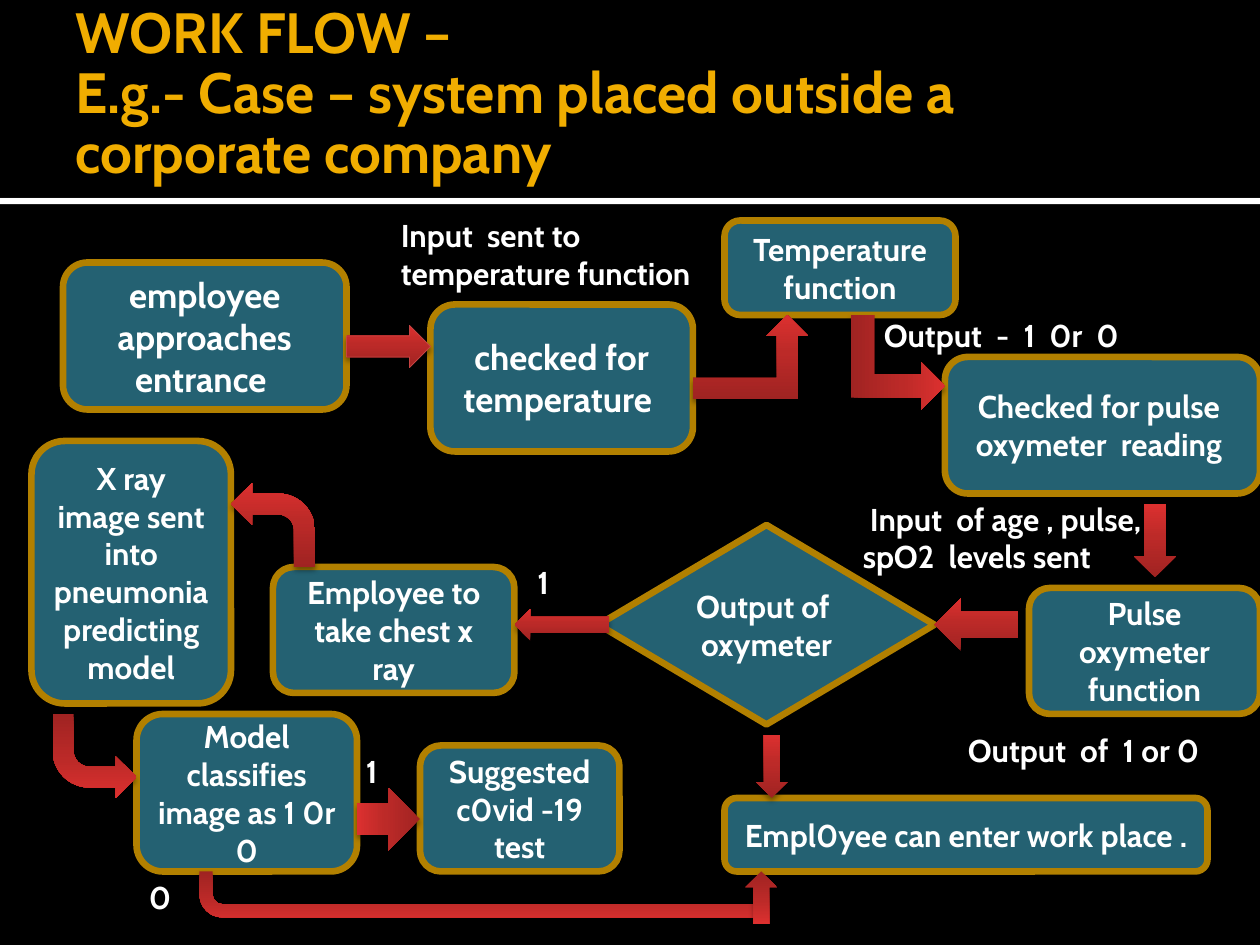
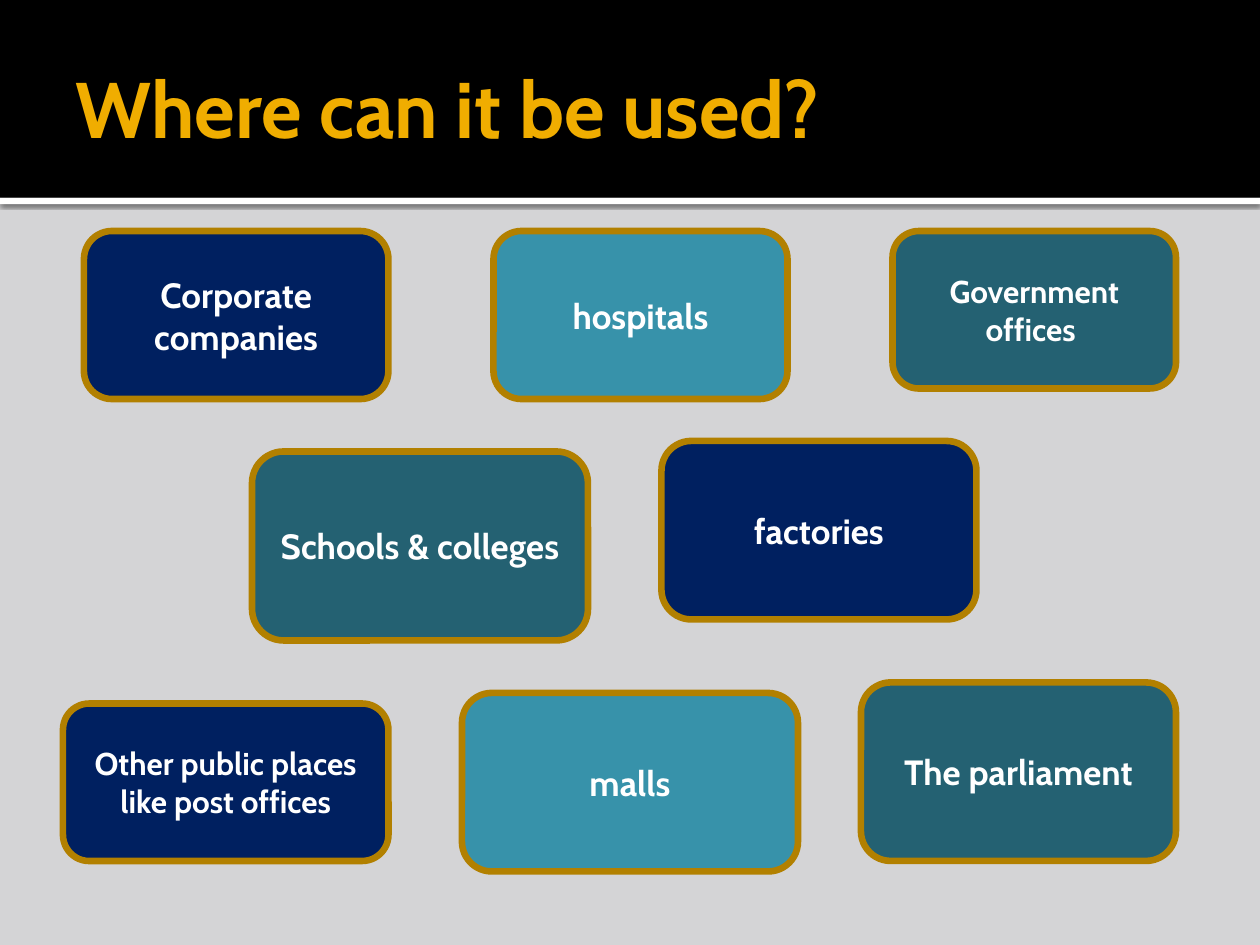
"""Build two slides: an entrance screening work flow and the places that can use it."""
from copy import deepcopy
from dataclasses import dataclass

from lxml import etree
from pptx import Presentation
from pptx import util as u
from pptx.dml.color import RGBColor
from pptx.enum import shapes, text
from pptx.oxml.ns import qn

FONT = "Cabin"
BLACK, WHITE, GOLD, BORDER = "000000", "FFFFFF", "F0AD00", "B28000"
TEAL, AQUA, NAVY, GREY = "246172", "3792AA", "002060", "D4D4D6"
REDS = [(0, "A02322"), (0.55, "BC2A28"), (1, "DC302F")]
RED_LINE = "C54342"

WIDTH, HEIGHT = u.Inches(10), u.Inches(7.5)
COLS, ROWS = 120, 90
BAND_ROWS, RULE_ROWS = 18.84, 0.6

KIND = shapes.MSO_SHAPE
BENT, BENT_UP = KIND.BENT_ARROW, KIND.BENT_UP_ARROW
UP_DOWN, LEFT, RIGHT = KIND.DOWN_ARROW, KIND.LEFT_ARROW, KIND.RIGHT_ARROW


@dataclass
class Cell:
    col: float
    row: float
    cols: float
    rows: float

    def emu(self) -> list[int]:
        x, y = WIDTH / COLS, HEIGHT / ROWS
        return [round(v) for v in (self.col * x, self.row * y, self.cols * x, self.rows * y)]


@dataclass
class Box:
    text: str
    cell: Cell
    size: float = 18
    fill: str = TEAL
    kind: KIND = KIND.ROUNDED_RECTANGLE


@dataclass
class Arrow:
    kind: KIND
    cell: Cell
    rotation: int = 0
    flip: str = ""
    line: str = ""


@dataclass
class Label:
    text: str
    cell: Cell


STEPS = [
    Box("employee approaches entrance ", Cell(6, 25, 27, 14), 20),
    Box("checked for temperature ", Cell(41, 29, 25, 14), 20),
    Box("Temperature function", Cell(69, 21, 22, 9)),
    Box("Checked for pulse  oxymeter  reading ", Cell(90, 34, 30, 13)),
    Box("Pulse oxymeter function", Cell(98, 56, 22, 12)),
    Box("Output of  oxymeter", Cell(57, 50, 32, 19), kind=KIND.FLOWCHART_DECISION),
    Box("Employee to take chest x ray", Cell(26, 54, 23, 12)),
    Box("X ray image sent into pneumonia predicting model", Cell(3, 42, 19, 25)),
    Box("Model classifies image as 1 0r 0", Cell(13, 68, 21, 15)),
    Box("Empl0yee can enter work place .", Cell(69, 76, 46, 7)),
    Box("Suggested c0vid -19 test", Cell(40, 71, 19, 12)),
]
ARROWS = [
    Arrow(RIGHT, Cell(33, 31, 8, 4), line=RED_LINE),
    Arrow(BENT_UP, Cell(66, 30, 11, 8)),
    Arrow(BENT_UP, Cell(81, 30, 9, 9), rotation=90),
    Arrow(UP_DOWN, Cell(108, 48, 4, 7)),
    Arrow(LEFT, Cell(89, 57, 8, 5)),
    Arrow(LEFT, Cell(49, 58, 9, 3)),
    Arrow(BENT, Cell(22, 46, 8, 8), flip="flipH"),
    Arrow(BENT, Cell(5, 68, 8, 8), rotation=180, flip="flipH"),
    Arrow(UP_DOWN, Cell(72, 70, 3, 6)),
    Arrow(UP_DOWN, Cell(34, 75, 6, 6), rotation=270),
    Arrow(BENT, Cell(19, 83, 54, 5), flip="flipV"),
    Arrow(UP_DOWN, Cell(71, 83, 3, 5), flip="flipV"),
]
LABELS = [
    Label("Input  sent to temperature function", Cell(37, 20, 31, 8.5)),
    Label("Output  -  1  0r  0", Cell(83, 29.5, 27, 5)),
    Label(" Input  of age , pulse, spO2  levels sent", Cell(81, 47, 32, 8.5)),
    Label("Output  of  1 or 0", Cell(91, 69, 27, 5)),
    Label("1", Cell(50, 53, 9, 5)),
    Label(" 1", Cell(33, 71, 9, 5)),
    Label("0", Cell(13, 83, 11, 5)),
]
PLACES = [
    Box("Corporate companies", Cell(8, 22, 29, 16), 20, NAVY),
    Box("hospitals", Cell(47, 22, 28, 16), 20, AQUA),
    Box("Government offices ", Cell(85, 22, 27, 15)),
    Box("Schools & colleges", Cell(24, 43, 32, 18), 20),
    Box("factories", Cell(63, 42, 30, 17), 20, NAVY),
    Box("Other public places like post offices", Cell(6, 67, 31, 15), fill=NAVY),
    Box("malls", Cell(44, 66, 32, 17), 20, AQUA),
    Box("The parliament", Cell(82, 65, 30, 17), 20),
]


def rgb(value: str) -> RGBColor:
    return RGBColor.from_string(value)


def write(sp, content: str, size: float = 18, color: str = WHITE, spacing: float = 1,
          align=text.PP_ALIGN.LEFT, anchor=text.MSO_ANCHOR.TOP):
    tf = sp.text_frame
    tf.word_wrap = True
    tf.vertical_anchor = anchor
    p = tf.paragraphs[0]
    p.text = content
    p.alignment = align
    p.line_spacing = spacing
    for r in p.runs:
        r.font.name, r.font.size, r.font.bold = FONT, u.Pt(size), True
        r.font.color.rgb = rgb(color)
    return tf


def add_shape(s, kind, cell: Cell, fill: str = "", line: str = "", weight: float = 1):
    sp = s.shapes.add_shape(kind, *cell.emu())
    sp.shadow.inherit = False
    if fill:
        sp.fill.solid()
        sp.fill.fore_color.rgb = rgb(fill)
    if line:
        sp.line.color.rgb = rgb(line)
        sp.line.width = u.Pt(weight)
    else:
        sp.line.fill.background()
    return sp


def add_shadow(sp, alpha: int, blur: float, dist: float) -> None:
    effects = sp._element.spPr.find(qn("a:effectLst"))
    outer = etree.SubElement(effects, qn("a:outerShdw"), blurRad=str(u.Pt(blur)),
                             dist=str(u.Pt(dist)), dir="5400000", algn="t", rotWithShape="0")
    color = etree.SubElement(outer, qn("a:srgbClr"), val=BLACK)
    etree.SubElement(color, qn("a:alpha"), val=str(alpha * 1000))


def add_box(s, box: Box) -> None:
    sp = add_shape(s, box.kind, box.cell, box.fill, BORDER, 3.78)
    write(sp, box.text, box.size, align=text.PP_ALIGN.CENTER, anchor=text.MSO_ANCHOR.MIDDLE)


def add_arrow(s, arrow: Arrow) -> None:
    sp = add_shape(s, arrow.kind, arrow.cell, line=arrow.line, weight=0.5)
    sp.rotation = arrow.rotation
    spPr = sp._element.spPr
    if arrow.flip:
        spPr.find(qn("a:xfrm")).set(arrow.flip, "1")
    sp.fill.gradient()
    sp.fill.gradient_angle = 90
    stops = spPr.find(qn("a:gradFill")).find(qn("a:gsLst"))
    stops.insert(1, deepcopy(stops[0]))
    for stop, (position, color) in zip(sp.fill.gradient_stops, REDS):
        stop.position = position
        stop.color.rgb = rgb(color)
    add_shadow(sp, 38, 3.1, 2)


def add_label(s, label: Label) -> None:
    tf = write(s.shapes.add_textbox(*label.cell.emu()), label.text)
    tf.auto_size = text.MSO_AUTO_SIZE.SHAPE_TO_FIT_TEXT


def add_slide(prs, title: str, size: float, background: str,
              title_row: float = 2, spacing: float = 1):
    s = prs.slides.add_slide(prs.slide_layouts[6])
    s.background.fill.solid()
    s.background.fill.fore_color.rgb = rgb(background)
    rule = add_shape(s, KIND.RECTANGLE, Cell(0, BAND_ROWS, COLS, RULE_ROWS), WHITE)
    add_shadow(rule, 60, 2.5, 0.8)
    add_shape(s, KIND.RECTANGLE, Cell(0, 0, COLS, BAND_ROWS), BLACK)
    sp = s.shapes.add_textbox(*Cell(6, title_row, 108, 16.4).emu())
    tf = write(sp, title, size, GOLD, spacing, anchor=text.MSO_ANCHOR.MIDDLE)
    tf.margin_right = u.Inches(0.05)
    return s


def main() -> None:
    prs = Presentation()
    prs.slide_width, prs.slide_height = WIDTH, HEIGHT

    s = add_slide(prs, "WORK FLOW –\vE.g.- Case – system placed outside a corporate company",
                  32.4, BLACK, title_row=0.9, spacing=0.88)
    for box in STEPS:
        add_box(s, box)
    for arrow in ARROWS:
        add_arrow(s, arrow)
    for label in LABELS:
        add_label(s, label)

    s = add_slide(prs, "Where can it be used?", 45, GREY)
    for box in PLACES:
        add_box(s, box)

    prs.save("out.pptx")


if __name__ == "__main__":
    main()
